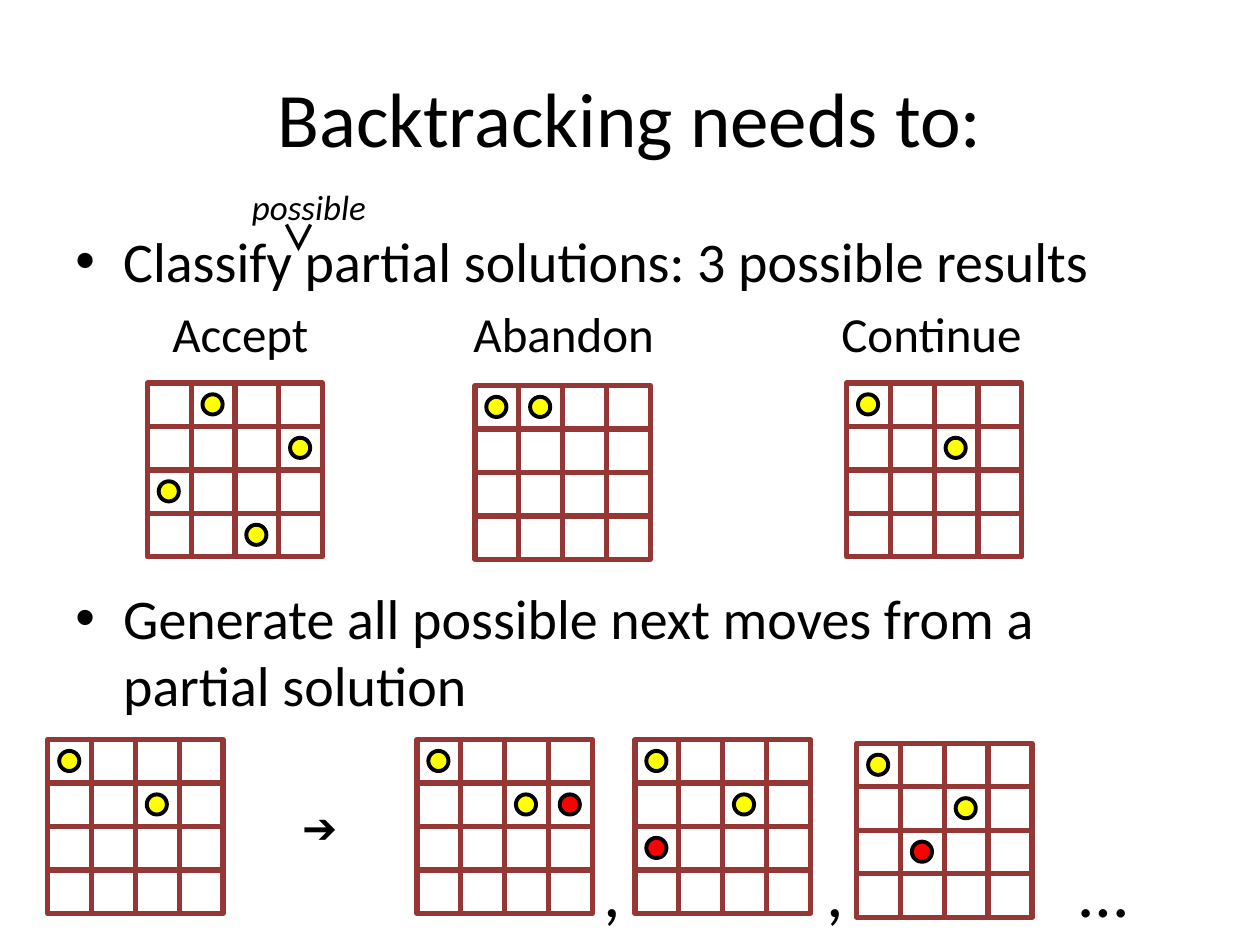
"""Build the slide on what backtracking needs, with its seven boards."""
from lxml import etree
from pptx import Presentation
from pptx.dml.color import RGBColor
from pptx.enum.shapes import MSO_SHAPE
from pptx.enum.text import MSO_ANCHOR, PP_ALIGN
from pptx.oxml.ns import qn
from pptx.util import Inches, Pt

RECT, OVAL = MSO_SHAPE.RECTANGLE, MSO_SHAPE.OVAL
MIDDLE, CENTER = MSO_ANCHOR.MIDDLE, PP_ALIGN.CENTER
YELLOW, RED, BROWN, BLACK = "FFFF00", "FF0000", "953735", "000000"
SIZE, COL, ROW = 4, 1.39 / 4, 1.38 / 4
DOT, INSET = 0.16, 0.09


def color(code):
    return RGBColor.from_string(code)


def write(place, lines, sizes, face="Calibri", wrap=True):
    box = slide.shapes.add_textbox(*map(Inches, place))
    frame = box.text_frame
    frame.word_wrap = wrap
    frame.text = "\n".join(lines)
    for para, size in zip(frame.paragraphs, sizes):
        for run in para.runs:
            run.font.name = face
            run.font.size = Pt(size)
            run.font.color.rgb = color(BLACK)
    return box


prs = Presentation()
prs.slide_width, prs.slide_height = Inches(10), Inches(7.5)
slide = prs.slides.add_slide(prs.slide_layouts[6])

marks = write((4.69, 6.68, 4.46, 0.77), [",\t,\t…"], [40])

title = write((0.5, 0.3, 9, 1.25), ["Backtracking needs to:"], [44])
title.text_frame.vertical_anchor = MIDDLE
title.text_frame.paragraphs[0].alignment = CENTER

body = write((0.5, 1.75, 9, 4.95), [
    "Classify partial solutions: 3 possible results",
    "\tAccept\tAbandon\tContinue",
    "Generate all possible next moves from a partial solution",
], [32, 28, 32])
first, labels, last = body.text_frame.paragraphs
labels.space_before = Pt(5.6)
last.space_before = Pt(126)

for para in (first, last):
    props = para._p.get_or_add_pPr()
    props.set("marL", str(Inches(0.38)))
    props.set("indent", str(-Inches(0.38)))
    font = etree.SubElement(props, qn("a:buFont"))
    font.set("typeface", "Arial")
    etree.SubElement(props, qn("a:buChar")).set("char", "•")

for para, stops in (
    (labels, (0.77, 3.16, 6.08)),
    (marks.text_frame.paragraphs[0], (1.77, 3.78)),
):
    tabs = etree.SubElement(para._p.get_or_add_pPr(), qn("a:tabLst"))
    for stop in stops:
        tab = etree.SubElement(tabs, qn("a:tab"))
        tab.set("pos", str(Inches(stop)))
        tab.set("algn", "l")

start = [(0, 0, YELLOW), (2, 1, YELLOW)]
boards = [
    (1.17, 3.04, [(1, 0, YELLOW), (2, 3, YELLOW), (3, 1, YELLOW), (0, 2, YELLOW)]),
    (3.77, 3.06, [(0, 0, YELLOW), (1, 0, YELLOW)]),
    (6.72, 3.04, start),
    (0.38, 5.87, start),
    (3.31, 5.87, start + [(3, 1, RED)]),
    (5.04, 5.87, start + [(0, 2, RED)]),
    (6.8, 5.9, start + [(1, 2, RED)]),
]
for left, top, queens in boards:
    board = slide.shapes.add_group_shape()
    for row in range(SIZE):
        for col in range(SIZE):
            place = (left + col * COL, top + row * ROW, COL, ROW)
            cell = board.shapes.add_shape(RECT, *map(Inches, place))
            cell.shadow.inherit = False
            cell.fill.background()
            cell.line.color.rgb = color(BROWN)
            cell.line.width = Pt(3)
    for col, row, fill in queens:
        place = (left + col * COL + INSET, top + row * ROW + INSET, DOT, DOT)
        queen = board.shapes.add_shape(OVAL, *map(Inches, place))
        queen.shadow.inherit = False
        queen.fill.solid()
        queen.fill.fore_color.rgb = color(fill)
        queen.line.color.rgb = color(BLACK)
        queen.line.width = Pt(2.25)

write((2.3, 6.31, 0.56, 0.5), ["➔"], [24], wrap=False)

word = write((1.9, 1.42, 1.18, 0.44), ["possible"], [20], wrap=False)
word.text_frame.paragraphs[0].runs[0].font.italic = True

caret = write((2.13, 1.67, 0.48, 0.44), ["∧"], [20], "Noto Sans CJK JP", False)
caret.rotation = 180
sign = caret.text_frame.paragraphs[0].runs[0]
sign.font.bold = True
asian = etree.SubElement(sign._r.get_or_add_rPr(), qn("a:ea"))
asian.set("typeface", "Noto Sans CJK JP")

prs.save("out.pptx")
